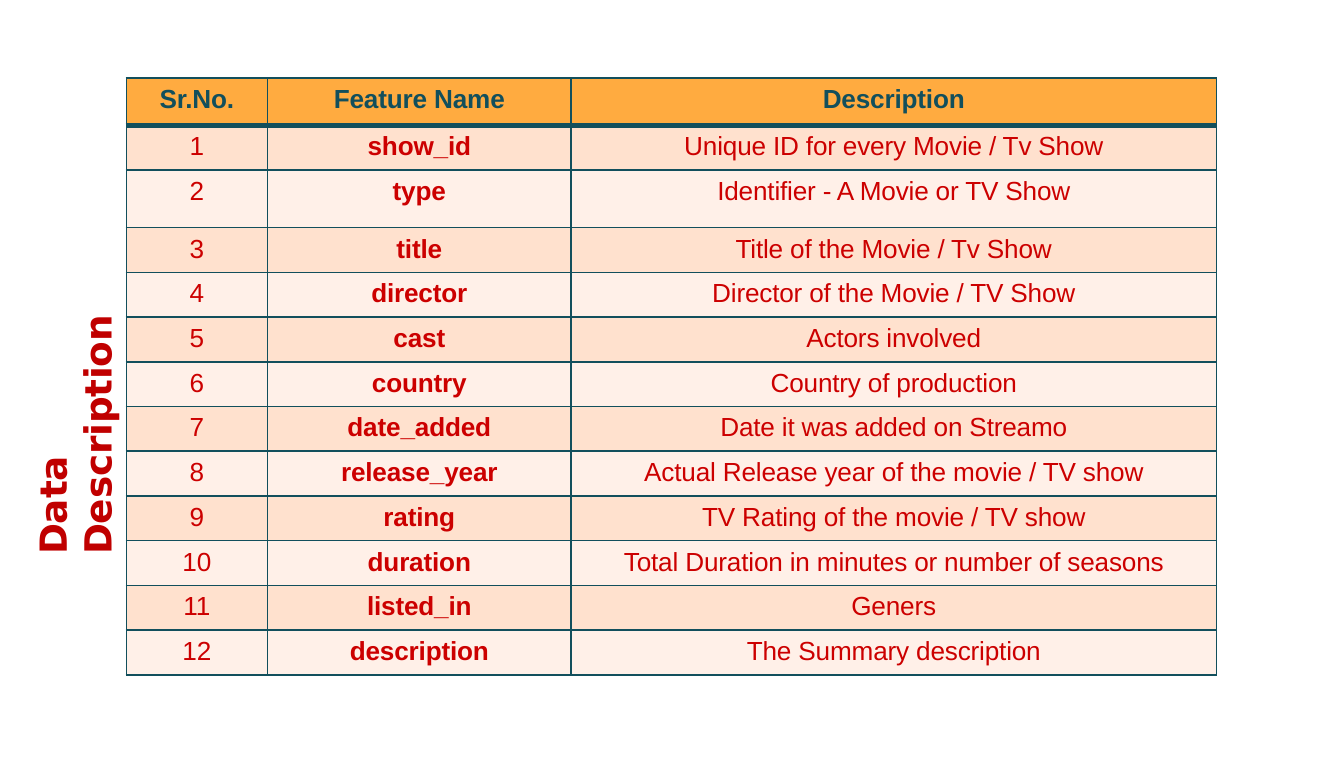
import pptx
import pptx.dml.color
import pptx.enum.text
import pptx.oxml
import pptx.oxml.ns
import pptx.util

RGBColor = pptx.dml.color.RGBColor
TEAL = RGBColor(0x12, 0x4F, 0x5C)
ORANGE = RGBColor(0xFF, 0xAB, 0x40)
PEACH = RGBColor(0xFF, 0xE1, 0xCE)
CREAM = RGBColor(0xFF, 0xF0, 0xE8)
RED = RGBColor(0xCC, 0x00, 0x00)
DARK_RED = RGBColor(0xC0, 0x00, 0x00)

SLIDE_WIDTH = pptx.util.Inches(10)
SLIDE_HEIGHT = pptx.util.Inches(5.63)
COLUMN_WIDTHS = [1.05, 2.26, 4.8]
HEADER_HEIGHT = 0.35
ROW_HEIGHT = 0.333
TYPE_ROW_HEIGHT = 0.43

HEADINGS = ["Sr.No.", "Feature Name", "Description"]
FEATURES = [
    ("show_id", "Unique ID for every Movie / Tv Show"),
    ("type", "Identifier - A Movie or TV Show"),
    ("title", "Title of the Movie / Tv Show"),
    ("director", "Director of the Movie / TV Show"),
    ("cast", "Actors involved"),
    ("country", "Country of production"),
    ("date_added", "Date it was added on Streamo"),
    ("release_year", "Actual Release year of the movie / TV show"),
    ("rating", "TV Rating of the movie / TV show"),
    ("duration", "Total Duration in minutes or number of seasons"),
    ("listed_in", "Geners"),
    ("description", "The Summary description"),
]


def across(share):
    return round(SLIDE_WIDTH * share)


def down(share):
    return round(SLIDE_HEIGHT * share)


def write_text(frame, text, *, font="Arial", size=14, color=RED, bold=False,
               align=pptx.enum.text.PP_ALIGN.CENTER, before=3.4, spacing=-0.1):
    paragraph = frame.paragraphs[0]
    paragraph.alignment = align
    paragraph.space_before = pptx.util.Pt(before)
    run = paragraph.add_run()
    run.text = text
    run.font.name = font
    run.font.size = pptx.util.Pt(size)
    run.font.bold = bold
    run.font.color.rgb = color
    run.font._element.set("spc", str(round(spacing * 100)))


def set_borders(cell, **widths):
    properties = cell._tc.get_or_add_tcPr()
    for position, side in enumerate("LRTB"):
        width = pptx.util.Pt(widths.get(side, 1))
        border = pptx.oxml.parse_xml(
            f'<a:ln{side} {pptx.oxml.ns.nsdecls("a")} w="{width}">'
            f'<a:solidFill><a:srgbClr val="{TEAL}"/></a:solidFill></a:ln{side}>')
        properties.insert(position, border)


def fill_cell(cell, text, fill, *, borders, **text_format):
    cell.margin_left = cell.margin_right = cell.margin_bottom = 0
    cell.margin_top = pptx.util.Inches(0.05)
    cell.fill.solid()
    cell.fill.fore_color.rgb = fill
    set_borders(cell, **borders)
    write_text(cell.text_frame, text, **text_format)


def add_feature_table(slide):
    heights = [HEADER_HEIGHT] + [
        TYPE_ROW_HEIGHT if name == "type" else ROW_HEIGHT for name, _ in FEATURES]
    table = slide.shapes.add_table(
        len(heights), len(COLUMN_WIDTHS), across(0.094), down(0.103),
        pptx.util.Inches(sum(COLUMN_WIDTHS)), pptx.util.Inches(sum(heights))).table
    table.first_row = table.horz_banding = False
    for column, width in zip(table.columns, COLUMN_WIDTHS):
        column.width = pptx.util.Inches(width)
    for row, height in zip(table.rows, heights):
        row.height = pptx.util.Inches(height)
    for column, heading in enumerate(HEADINGS):
        fill_cell(table.cell(0, column), heading, ORANGE, borders={"B": 3},
                  color=TEAL, bold=True)
    for number, (name, description) in enumerate(FEATURES, 1):
        fill = PEACH if number % 2 else CREAM
        borders = {"T": 3} if number == 1 else {}
        for column, text in enumerate([str(number), name, description]):
            fill_cell(table.cell(number, column), text, fill, borders=borders,
                      bold=column == 1)


def add_vertical_title(slide, text):
    box = slide.shapes.add_textbox(
        across(0.022), down(0.268), across(0.036), down(0.465))
    frame = box.text_frame
    frame.word_wrap = True
    frame.auto_size = pptx.enum.text.MSO_AUTO_SIZE.SHAPE_TO_FIT_TEXT
    frame.margin_left = frame.margin_right = frame.margin_bottom = 0
    frame.margin_top = pptx.util.Inches(0.01)
    frame._txBody.bodyPr.set("vert", "vert270")
    write_text(frame, text, font="DejaVu Sans", size=20, color=DARK_RED, bold=True,
               align=pptx.enum.text.PP_ALIGN.LEFT, before=1)


def main():
    presentation = pptx.Presentation()
    presentation.slide_width = SLIDE_WIDTH
    presentation.slide_height = SLIDE_HEIGHT
    slide = presentation.slides.add_slide(presentation.slide_layouts[6])
    add_feature_table(slide)
    add_vertical_title(slide, "Data Description")
    presentation.save("out.pptx")


if __name__ == "__main__":
    main()
